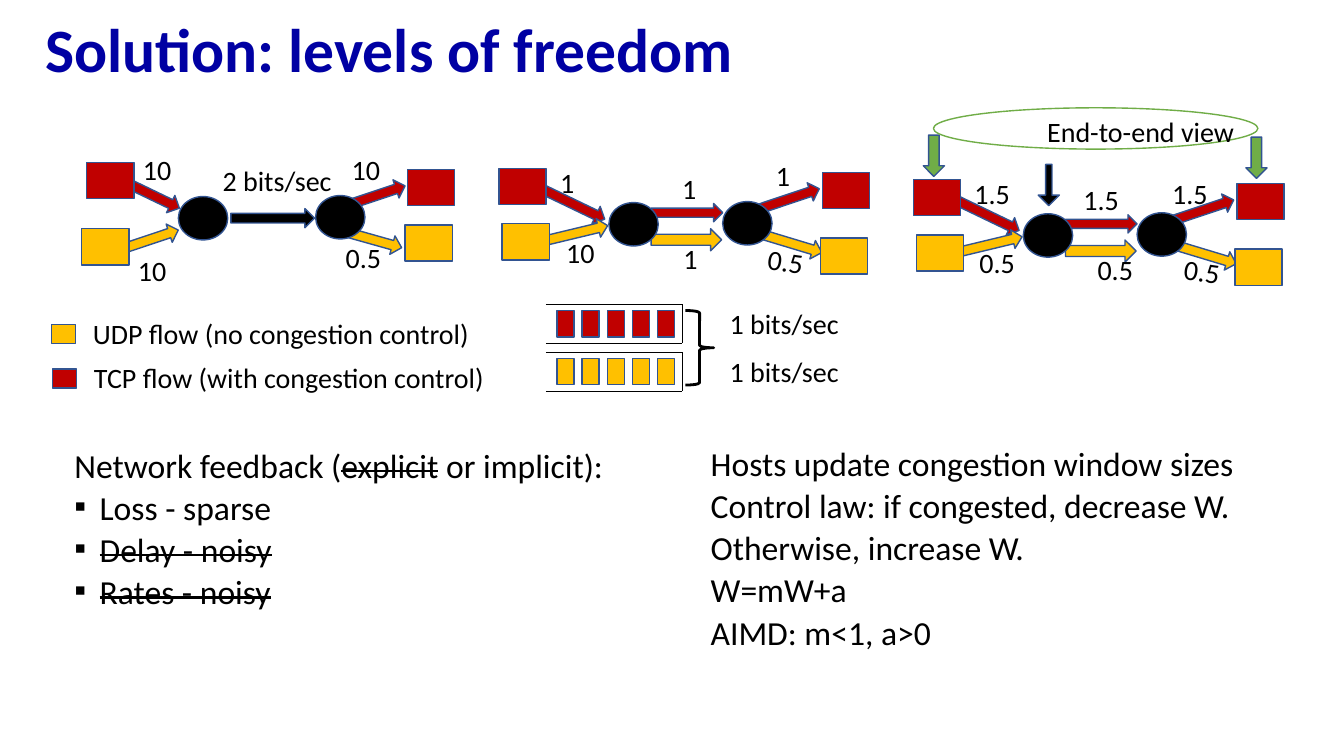
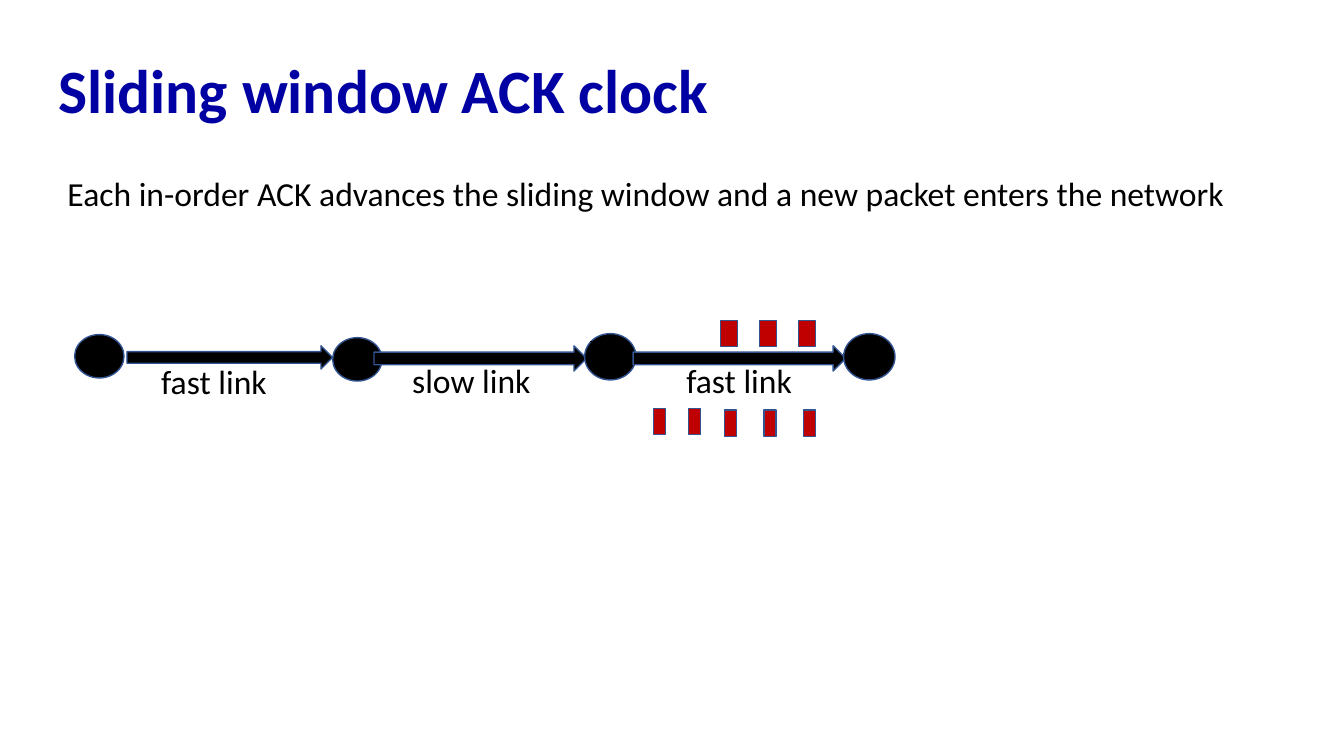
from lxml import etree
from pptx import Presentation
from pptx.dml.color import RGBColor
from pptx.enum.shapes import MSO_CONNECTOR as CONN, MSO_SHAPE as SHAPE
from pptx.enum.text import MSO_ANCHOR as ANCHOR, MSO_AUTO_SIZE as FIT, PP_ALIGN as ALIGN
from pptx.oxml.ns import qn
from pptx.util import Pt

NAVY = RGBColor(0x00, 0x00, 0xA3)
BLACK = RGBColor(0x00, 0x00, 0x00)
RED = RGBColor(0xC0, 0x00, 0x00)
YELLOW = RGBColor(0xFF, 0xC0, 0x00)
GREEN = RGBColor(0x70, 0xAD, 0x47)
BLUE = RGBColor(0x32, 0x54, 0x91)

FONT = "Calibri"
TITLE = {"name": FONT, "size": Pt(44), "bold": True}
BODY = {"name": FONT, "size": Pt(24)}
LABEL = {"name": FONT, "size": Pt(20)}

# Usual element sizes, in points
HOST = (33.8, 25.9)
ROUTER = (35.3, 31)
LINK = (59.8, 13.7)
DOWN = (15.1, 29.5)
KEY = (17.3, 13.7)
PACKET = (12.2, 18.7)
SMALL_PACKET = (8.6, 18.7)


class Deck:
    """Holds the presentation, its style and the current slide."""

    def __init__(self):
        self.prs = Presentation()
        self.prs.slide_width, self.prs.slide_height = Pt(960), Pt(540)
        self.s = None

    def place(self, sp, x, y, w, h):
        sp.left, sp.top, sp.width, sp.height = Pt(x), Pt(y), Pt(w), Pt(h)

    def style(self, r, fmt, color=BLACK):
        for name, value in fmt.items():
            setattr(r.font, name, value)
        r.font.color.rgb = color

    def slide(self, title, *box):
        self.s = self.prs.slides.add_slide(self.prs.slide_layouts[1])
        sp = self.s.shapes.title
        self.place(sp, *box)
        tf = sp.text_frame
        tf.auto_size, tf.vertical_anchor = FIT.NONE, ANCHOR.MIDDLE
        p = tf.paragraphs[0]
        p.alignment, p.line_spacing = ALIGN.LEFT, 0.9
        r = p.add_run()
        r.text = title
        self.style(r, TITLE, NAVY)

    def fill_list(self, tf, paras, spacing):
        """Each paragraph is (bullet, [(text, struck), ...])."""
        tf.word_wrap, tf.auto_size = True, FIT.NONE
        for i, (bullet, runs) in enumerate(paras):
            p = tf.add_paragraph() if i else tf.paragraphs[0]
            pPr = p._p.get_or_add_pPr()
            indent = Pt(18) if bullet else 0
            pPr.set("marL", str(indent))
            pPr.set("indent", str(-indent))
            if bullet:
                etree.SubElement(pPr, qn("a:buFont")).set("typeface", "Arial")
                etree.SubElement(pPr, qn("a:buChar")).set("char", bullet)
            else:
                etree.SubElement(pPr, qn("a:buNone"))
            p.line_spacing, p.space_before = spacing, Pt(10 if i else 0)
            for text, struck in runs:
                r = p.add_run()
                r.text = text
                self.style(r, BODY)
                if struck:
                    r._r.get_or_add_rPr().set("strike", "sngStrike")

    def body(self, lines, *box, spacing):
        sp = self.s.placeholders[1]
        self.place(sp, *box)
        self.fill_list(sp.text_frame, [("", [(t, False)]) for t in lines], spacing)

    def list_box(self, paras, *box, spacing):
        sp = self.s.shapes.add_textbox(*map(Pt, box))
        self.fill_list(sp.text_frame, paras, spacing)

    def label(self, text, x, y, w=54.7, rot=0, fmt=LABEL):
        sp = self.s.shapes.add_textbox(Pt(x), Pt(y), Pt(w), Pt(31.7))
        sp.rotation = rot
        tf = sp.text_frame
        tf.word_wrap = True
        r = tf.paragraphs[0].add_run()
        r.text = text
        self.style(r, fmt)

    def shape(self, kind, x, y, size, fill, rot=0, line=BLUE, width=1):
        sp = self.s.shapes.add_shape(kind, Pt(x), Pt(y), *map(Pt, size))
        sp.shadow.inherit = False
        sp.rotation = rot
        if fill is None:
            sp.fill.background()
        else:
            sp.fill.solid()
            sp.fill.fore_color.rgb = fill
        sp.line.color.rgb, sp.line.width = line, Pt(width)
        return sp

    def arrow(self, x, y, fill, rot=0, size=LINK):
        self.shape(SHAPE.RIGHT_ARROW, x, y, size, fill, rot)

    def line(self, x1, y1, x2, y2):
        c = self.s.shapes.add_connector(CONN.STRAIGHT, Pt(x1), Pt(y1), Pt(x2), Pt(y2))
        c.line.color.rgb, c.line.width = BLACK, Pt(0.5)
        etree.SubElement(c._element.spPr, qn("a:effectLst"))

    def network(self, arrows, hosts, routers, labels, dx=0, dy=0):
        """Draws a two-router network; labels stay where they are given."""
        for x, y, *rest in arrows:
            self.arrow(x + dx, y + dy, *rest)
        for x, y, fill in hosts:
            self.shape(SHAPE.RECTANGLE, x + dx, y + dy, HOST, fill)
        for x, y in routers:
            self.shape(SHAPE.OVAL, x + dx, y + dy, ROUTER, BLACK)
        for item in labels:
            self.label(*item)


def freedom_slide(d):
    d.slide("Solution: levels of freedom", 25.2, 6.5, 869.8, 62.6)

    # Network with one shared link
    d.network(
        arrows=[(228.2, 162, YELLOW, 15.7), (231.1, 135.4, RED, 341.5),
                (69.1, 167, YELLOW, 341.5), (71.3, 128.9, RED, 25.7),
                (164.9, 149, BLACK)],
        hosts=[(61.9, 115.9, RED), (290.9, 121, RED),
               (58.3, 163.4, YELLOW), (289.4, 160.6, YELLOW)],
        routers=[(127.4, 140.4), (225.4, 139.7)],
        labels=[("2 bits/sec", 151.9, 113, 98.6), ("10", 95, 105.1),
                ("10", 91.4, 177.8), ("10", 244.1, 105.1), ("0.5", 239.8, 168.5)])

    # Legend
    for x, y, fill, text in ((36.7, 231.8, YELLOW, "UDP flow (no congestion control)"),
                             (37.4, 263.5, RED, "TCP flow (with congestion control)")):
        d.shape(SHAPE.RECTANGLE, x, y, KEY, fill)
        d.label(text, x + 22.6, y - 9.5, 313)

    # Body texts
    d.body(["Hosts update congestion window sizes",
            "Control law: if congested, decrease W.",
            "Otherwise, increase W.", "W=mW+a", "AIMD: m<1, a>0"],
           500.4, 320.4, 400.3, 140.4, spacing=0.7)
    d.list_box([("", [("Network feedback (", False), ("explicit", True),
                      (" or implicit):", False)]),
                ("▪", [("Loss - sparse", False)]),
                ("▪", [("Delay - noisy", True)]),
                ("▪", [("Rates - noisy", True)])],
               46.1, 321.8, 445, 127.4, spacing=0.7)

    # End-to-end view
    for x, y in ((659.5, 96.5), (889.9, 97.9)):
        d.shape(SHAPE.DOWN_ARROW, x, y, DOWN, GREEN)
    d.shape(SHAPE.OVAL, 666.7, 77, (231.8, 29.5), None, line=GREEN)
    d.label("End-to-end view", 740.9, 78.5, 151.2)

    # Two networks of the same layout with separate flows
    split = {
        "arrows": [(527, 137.5, RED, 341.5), (528.5, 164.9, YELLOW, 16.8),
                   (465.1, 145.4, RED, 0, (51.1, 13)),
                   (465.1, 163.4, YELLOW, 0, (50.4, 15.8)),
                   (375.1, 136.8, RED, 25.7), (375.1, 161.3, YELLOW, 346.5)],
        "hosts": [(356.4, 120.2, RED), (587.5, 123.1, RED),
                  (358.6, 159.8, YELLOW), (586.1, 169.9, YELLOW)],
        "routers": [(434.9, 144.7), (516.2, 144)],
    }
    d.network(**split, dx=296, dy=8, labels=[
        ("1.5", 766.8, 126.7), ("1.5", 689, 122.4), ("0.5", 692.6, 172.1),
        ("1.5", 830.2, 122.4), ("0.5", 838.8, 179.3, 54.7, 8.1),
        ("0.5", 776.9, 177.1)])
    sp = d.shape(SHAPE.DOWN_ARROW, 741.6, 117.4, DOWN, BLACK)
    sp.adjustments[0] = 0.3
    d.network(**split, labels=[
        ("1", 480.2, 118.8), ("1", 393.1, 114.5), ("10", 397.4, 164.9),
        ("1", 547.2, 109.4), ("0.5", 541.4, 172.1, 54.7, 8.1),
        ("1", 481, 169.2)])

    # Queues, one per flow
    for top, fill in ((217.4, RED), (251.5, YELLOW)):
        bottom = top + 27.7
        for i in range(5):
            d.shape(SHAPE.RECTANGLE, 397.8 + 18 * i, top + 4.6, PACKET, fill)
        for y in (top, bottom):
            d.line(390, y, 487.3, y)
        d.line(487.3, top, 487.3, bottom)
        d.label("1 bits/sec", 514.1, top - 1.9, 98.6)
    d.shape(SHAPE.RIGHT_BRACE, 489.6, 221.8, (20.2, 53.3), None, line=BLACK, width=2)


def clock_slide(d):
    d.slide("Sliding window ACK clock", 34.6, 14.4, 828, 104.4)
    d.body(["Each in-order ACK advances the sliding window and a new packet "
            "enters the network"], 41, 123.1, 883.4, 342.7, spacing=0.9)

    # Chain of routers and links
    routers = [(53.3, 239, ROUTER), (237.6, 241.2, ROUTER),
               (417.6, 238.3, (36.7, 33.1)), (602.6, 238.3, (36.7, 33.1))]
    links = [(90.7, (146.9, 16.6), "fast link", 108, 254.2),
             (267.1, (151.9, 18), "slow link", 287.3, 253.4),
             (452.2, (151.9, 18), "fast link", 483.1, 253.4)]
    for i, (x, y, size) in enumerate(routers):
        d.shape(SHAPE.OVAL, x, y, size, BLACK)
        if i < len(links):
            link_x, link_size, text, text_x, text_y = links[i]
            d.arrow(link_x, 247, BLACK, size=link_size)
            d.label(text, text_x, text_y, 116.6, fmt=BODY)
    for x1, x2, y in ((448.6, 421.2, 244.1), (635, 607, 245.5)):
        d.line(x1, y, x2, y)

    # Packets above and below the last link
    for i in range(3):
        d.shape(SHAPE.RECTANGLE, 514.8 + 27.7 * i, 229, PACKET, RED)
    for x, y in ((466.6, 291.6), (491.8, 291.6), (517.7, 293), (545.8, 293), (573.8, 293)):
        d.shape(SHAPE.RECTANGLE, x, y, SMALL_PACKET, RED)


def main():
    d = Deck()
    freedom_slide(d)
    clock_slide(d)
    d.prs.save("out.pptx")


if __name__ == "__main__":
    main()
